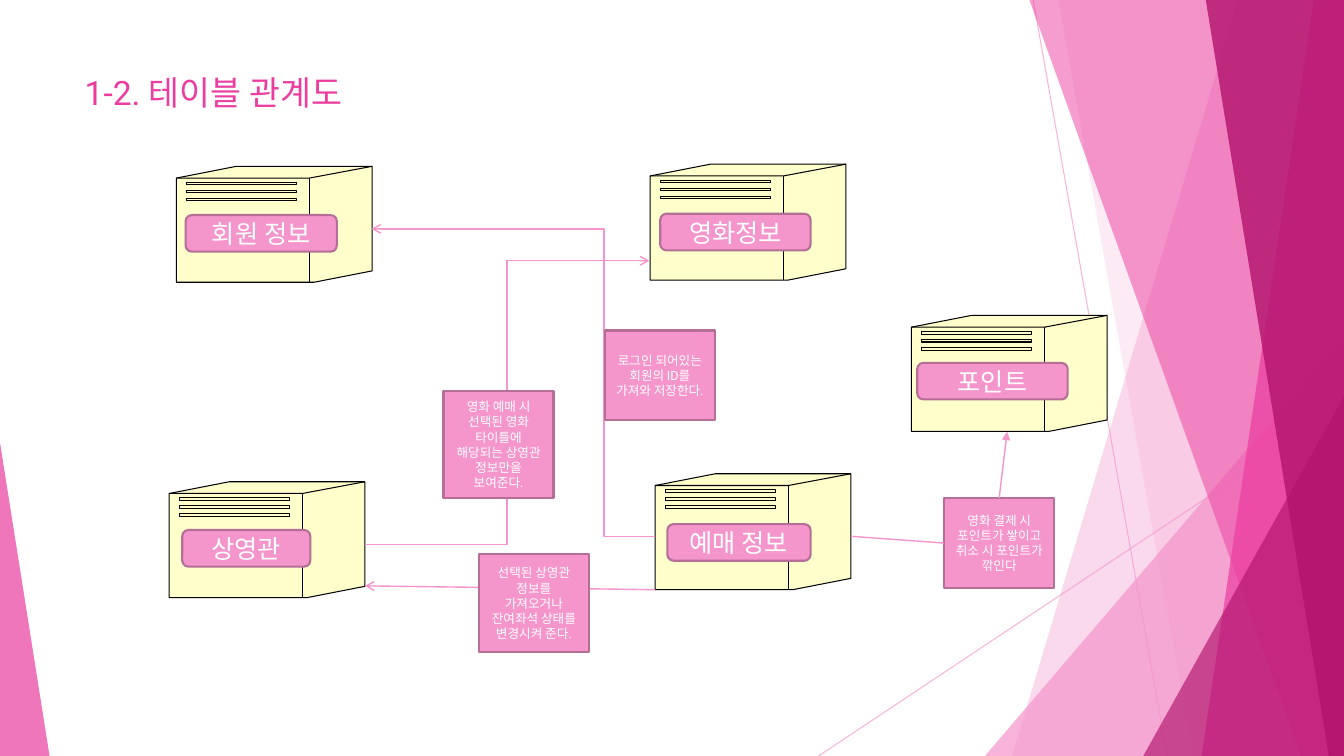
from dataclasses import dataclass

from lxml.etree import SubElement
from pptx import Presentation
from pptx.dml.color import RGBColor
from pptx.enum.shapes import MSO_CONNECTOR, MSO_SHAPE
from pptx.enum.text import MSO_ANCHOR, PP_ALIGN
from pptx.oxml.ns import qn
from pptx.util import Inches, Pt


@dataclass(frozen=True)
class Theme:
    pink: RGBColor = RGBColor(0xF4, 0x96, 0xCB)
    hot: RGBColor = RGBColor(0xEB, 0x3D, 0x9F)
    deep: RGBColor = RGBColor(0xB2, 0x13, 0x6D)
    rim: RGBColor = RGBColor(0xB5, 0x6F, 0x96)
    cream: RGBColor = RGBColor(0xFF, 0xFF, 0xCC)
    black: RGBColor = RGBColor(0, 0, 0)
    white: RGBColor = RGBColor(0xFF, 0xFF, 0xFF)
    font: str = "Roboto"
    title: Pt = Pt(24)
    label: Pt = Pt(18)
    note: Pt = Pt(9)


theme = Theme()
COLS, ROWS = 160, 90
CELL = Inches(1) // 12

deck = Presentation()
deck.slide_width, deck.slide_height = COLS * CELL, ROWS * CELL
slide = deck.slides.add_slide(deck.slide_layouts[6])
shapes = slide.shapes


def grid(*cells):
    """Turn columns and rows into slide lengths."""
    return [round(n * CELL) for n in cells]


def link(kind, ends, width, tip=None):
    """Draw a pink connector without shadow, with an optional arrow tip."""
    wire = shapes.add_connector(kind, *grid(*ends))
    wire.line.color.rgb = theme.pink
    wire.line.width = Pt(width)
    prop = wire.element.spPr
    if tip:
        SubElement(prop.find(qn("a:ln")), qn("a:tailEnd"), type=tip)
    SubElement(prop, qn("a:effectLst"))
    return wire


# Backdrop: thin rays, then see-through panes and peaks
faded = []
for ends in ((123, 0, 138.95, ROWS), (COLS, 48.4, 97.45, ROWS)):
    faded.append((link(MSO_CONNECTOR.STRAIGHT, ends, 0.75), 70))

# pane: top and foot of its left edge; peak: left, top, right, lean
panels = [
    ("pane", (147.4, 120.5), theme.pink, 36),
    ("pane", (126, 142), theme.pink, 20),
    ("peak", (117.25, 40, COLS, 1), theme.pink, 72),
    ("pane", (122.55, 154.9), theme.hot, 50),
    ("pane", (156.4, 143.05), theme.hot, 70),
    ("pane", (143.55, 158.2), theme.deep, 80),
    ("peak", (136.1, 47.2, COLS, 1), theme.deep, 66),
    ("peak", (0, 52.7, 5.9, 0), theme.hot, 70),
]
for kind, spot, hue, alpha in panels:
    if kind == "pane":
        top, foot = spot
        pen = shapes.build_freeform(*grid(top, 0))
        pen.add_line_segments([grid(COLS, 0), grid(COLS, ROWS), grid(foot, ROWS)])
        panel = pen.convert_to_shape()
    else:
        left, top, right, lean = spot
        area = grid(left, top, right - left, ROWS - top)
        panel = shapes.add_shape(MSO_SHAPE.ISOSCELES_TRIANGLE, *area)
        panel.adjustments[0] = lean
    panel.shadow.inherit = False
    panel.fill.solid()
    panel.fill.fore_color.rgb = hue
    panel.line.fill.background()
    faded.append((panel, alpha))

for item, alpha in faded:
    for tint in item.element.iter(qn("a:srgbClr")):
        SubElement(tint, qn("a:alpha"), val=str(alpha * 1000))

# Title
head = shapes.add_textbox(*grid(8.9, 8, 112.8, 8)).text_frame
head.word_wrap = True
run = head.paragraphs[0].add_run()
run.text = "1-2. 테이블 관계도"
run.font.name, run.font.size = theme.font, theme.title
run.font.color.rgb = theme.hot

# Table boxes: name, corner, then label offset and width
tables = [
    ("회원 정보", 21, 19.8, 1.1, 5.8, 18),
    ("예매 정보", 78, 56.4, 1.45, 6, 17.05),
    ("상영관", 20.15, 57.35, 1.55, 5.75, 15.25),
    ("영화정보", 77.4, 19.55, 1.2, 5.9, 17.9),
    ("포인트", 108.5, 37.55, 0.7, 5.65, 17.9),
]
WIDE, TALL, EDGE, FOLD = 23.3, 13.8, 1.4, 15.85
hull = [(0, EDGE), (7.15, 0), (WIDE, 0), (WIDE, 12.45), (16.4, TALL), (0, TALL)]
seams = [[(0, EDGE), (FOLD, EDGE), (WIDE, 0)], [(FOLD, EDGE), (FOLD, TALL)]]
for row in range(3):
    y = 1.92 + 0.95 * row
    seams.append([(1.25, y), (14.35, y), (14.35, y + 0.3), (1.25, y + 0.3), (1.25, y)])

for name, left, top, *rest in tables:
    pen = shapes.build_freeform(*grid(*hull[0]))
    pen.add_line_segments([grid(*dot) for dot in hull[1:]])
    box = pen.convert_to_shape(*grid(left, top))
    box.shadow.inherit = False
    box.fill.solid()
    box.fill.fore_color.rgb = theme.cream
    box.line.color.rgb = theme.black
    box.line.width = Pt(0.75)

    # The seams have the hull's extent, so they join it as an unfilled outline
    pen = shapes.build_freeform(*grid(*seams[0][0]))
    for step, seam in enumerate(seams):
        if step:
            pen.move_to(*grid(*seam[0]))
        pen.add_line_segments([grid(*dot) for dot in seam[1:]], close=False)
    part = pen.convert_to_shape(*grid(left, top))
    trace = next(part.element.iter(qn("a:path")))
    trace.set("fill", "none")
    next(box.element.iter(qn("a:pathLst"))).append(trace)
    part.element.getparent().remove(part.element)

# Relations between tables
bends = [
    ((43.45, 64.8, 77.3, 31.05), 0.5),
    ((78, 63.85, 44.25, 27.25), 0.18),
]
for ends, turn in bends:
    wire = link(MSO_CONNECTOR.ELBOW, ends, 1, "arrow")
    slot = next(wire.element.iter(qn("a:avLst")))
    SubElement(slot, qn("a:gd"), name="adj1", fmla=f"val {round(turn * 100000)}")
link(MSO_CONNECTOR.STRAIGHT, (78, 70.2, 43.45, 69.75), 1, "arrow")

# Labels on the boxes and notes on the relations
notes = [
    ("영화 예매 시 선택된 영화 타이틀에 해당되는 상영관 정보만을 보여준다.", 52.8, 46.55, 12.75),
    ("로그인 되어있는 회원의 ID를 가져와 저장한다.", 72, 39.35, 10.7),
    ("선택된 상영관 정보를 가져오거나 잔여좌석 상태를 변경시켜 준다.", 57, 66, 11.6),
    ("영화 결제 시 포인트가 쌓이고 취소 시 포인트가 깎인다", 112.4, 59.3, 10.7),
]
cards = [
    (MSO_SHAPE.ROUNDED_RECTANGLE, theme.label, name, (x + dx, y + dy, wide, 4.35))
    for name, x, y, dx, dy, wide in tables
]
cards += [
    (MSO_SHAPE.RECTANGLE, theme.note, text, (x, y, 13.1, tall))
    for text, x, y, tall in notes
]
for kind, size, text, area in cards:
    card = shapes.add_shape(kind, *grid(*area))
    card.shadow.inherit = False
    card.fill.solid()
    card.fill.fore_color.rgb = theme.pink
    card.line.color.rgb = theme.rim
    card.line.width = Pt(1.5)
    frame = card.text_frame
    frame.word_wrap = True
    frame.vertical_anchor = MSO_ANCHOR.MIDDLE
    para = frame.paragraphs[0]
    para.alignment = PP_ALIGN.CENTER
    run = para.add_run()
    run.text = text
    run.font.name, run.font.size = theme.font, size
    run.font.color.rgb = theme.white

# The last card is the note on points, between booking and points
pay = link(MSO_CONNECTOR.STRAIGHT, (101.3, 63.85, 112.4, 64.65), 1)
pay.end_connect(card, 1)
gain = link(MSO_CONNECTOR.STRAIGHT, (118.95, 59.3, 119.9, 51.4), 1, "triangle")
gain.begin_connect(card, 0)

deck.save("out.pptx")
